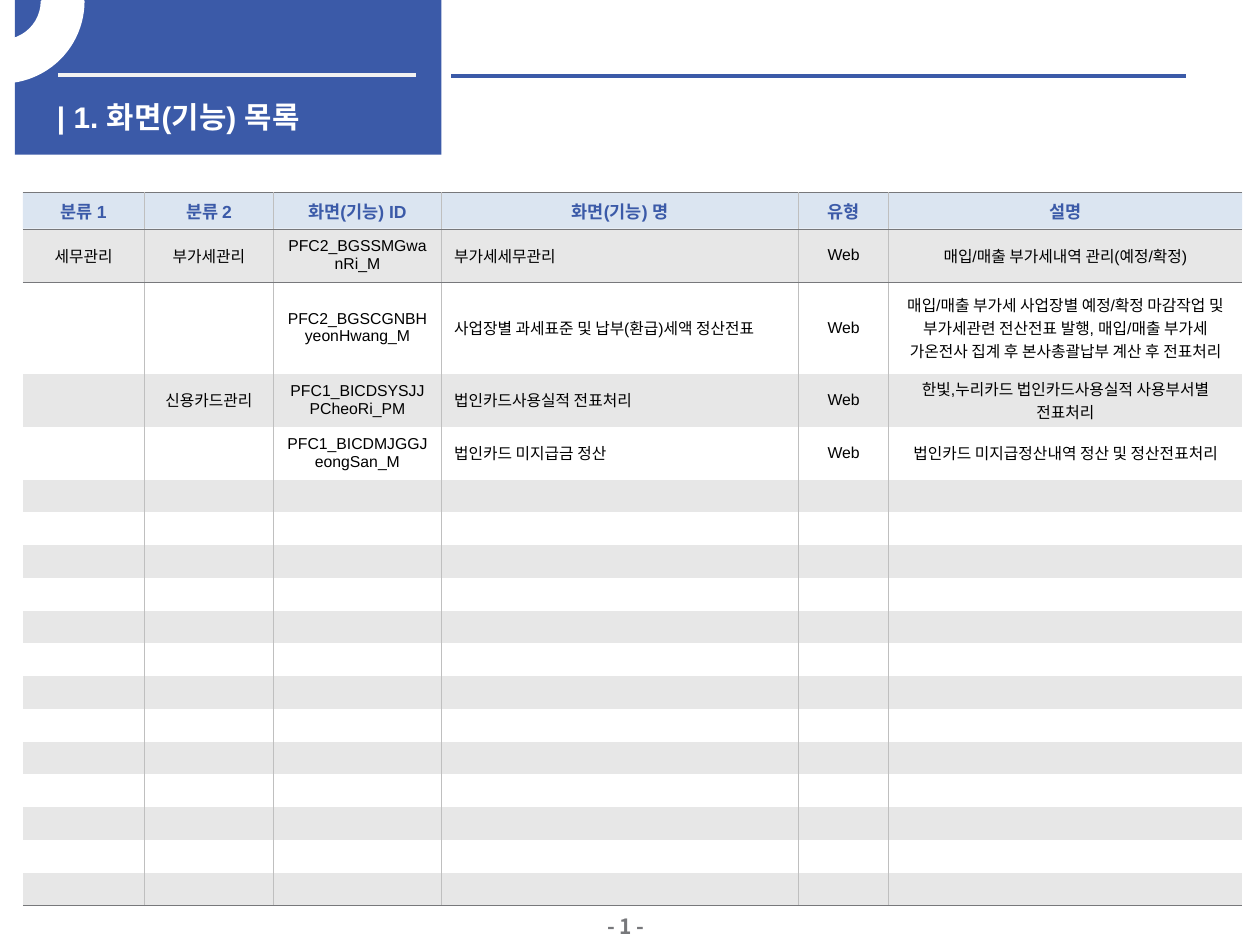
from lxml import etree
from pptx import Presentation
from pptx import util as u
from pptx.dml.color import RGBColor
from pptx.enum import shapes, text
from pptx.oxml import ns

BLUE = RGBColor(0x3B, 0x5A, 0xA8)
PALE_BLUE = RGBColor(0xB9, 0xCD, 0xE5)
BAND = RGBColor(0xE7, 0xE7, 0xE7)
WHITE = RGBColor(0xFF, 0xFF, 0xFF)
OFF_WHITE = RGBColor(0xF2, 0xF2, 0xF2)
BLACK = RGBColor(0x00, 0x00, 0x00)
GRAY = RGBColor(0x77, 0x78, 0x7B)
RULE = RGBColor(0xBF, 0xBF, 0xBF)

TITLE = {"name": "Arial", "size": u.Pt(17), "bold": True, "color": WHITE}
PAGE = {"name": "Noto Sans CJK KR", "size": u.Pt(12), "bold": True, "color": GRAY}
HEAD = {"name": "Arial", "size": u.Pt(10), "bold": True, "color": BLUE}
BODY = {"name": "Arial", "size": u.Pt(9), "bold": False, "color": BLACK}

COL_WIDTHS = [2.45, 2.6, 3.39, 7.2, 1.81, 7.13]
ROW_HEIGHTS = [0.73, 1.07, 1.85, 1.07, 1.07] + [0.66] * 13
NAME_COL = 3
ROWS = [
    ["분류 1", "분류 2", "화면(기능) ID", "화면(기능) 명", "유형", "설명"],
    ["세무관리", "부가세관리", "PFC2_BGSSMGwanRi_M", "부가세세무관리", "Web",
     "매입/매출 부가세내역 관리(예정/확정)"],
    ["", "", "PFC2_BGSCGNBHyeonHwang_M", "사업장별 과세표준 및 납부(환급)세액 정산전표", "Web",
     "매입/매출 부가세 사업장별 예정/확정 마감작업 및 부가세관련 전산전표 발행, "
     "매입/매출 부가세 가온전사 집계 후 본사총괄납부 계산 후 전표처리"],
    ["", "신용카드관리", "PFC1_BICDSYSJJPCheoRi_PM", "법인카드사용실적 전표처리", "Web",
     "한빛,누리카드 법인카드사용실적 사용부서별 전표처리"],
    ["", "", "PFC1_BICDMJGGJeongSan_M", "법인카드 미지급금 정산", "Web",
     "법인카드 미지급정산내역 정산 및 정산전표처리"],
]


def set_all(obj, values):
    """Set every attribute named in a dict of values."""
    for name, value in values.items():
        setattr(obj, name, value)


def add_run(p, words, fmt):
    """Add a run of text in the given format."""
    r = p.add_run()
    r.text = words
    for name, value in fmt.items():
        if name == "color":
            r.font.color.rgb = value
        else:
            setattr(r.font, name, value)


def add_text(s, x, y, w, h, words, fmt, **frame):
    """Add a one-line text box."""
    tf = s.shapes.add_textbox(u.Cm(x), u.Cm(y), u.Cm(w), u.Cm(h)).text_frame
    set_all(tf, frame)
    add_run(tf.paragraphs[0], words, fmt)


def add_shape(s, kind, x, y, w, h, color, line_width=None):
    """Add a preset shape of one colour, with or without an outline."""
    sp = s.shapes.add_shape(kind, u.Cm(x), u.Cm(y), u.Cm(w), u.Cm(h))
    sp.shadow.inherit = False
    sp.fill.solid()
    sp.fill.fore_color.rgb = color
    if line_width:
        sp.line.color.rgb = color
        sp.line.width = u.Pt(line_width)
    else:
        sp.line.fill.background()
    return sp


def add_rule(s, x1, x2, y, color):
    """Add a horizontal line."""
    line = s.shapes.add_connector(shapes.MSO_CONNECTOR.STRAIGHT,
                                  u.Cm(x1), u.Cm(y), u.Cm(x2), u.Cm(y))
    line.line.color.rgb = color
    line.line.width = u.Pt(2.25)
    etree.SubElement(line._element.spPr, ns.qn("a:effectLst"))


def set_borders(cell, borders):
    """Draw the sides that have a colour and clear the others."""
    tc_pr = cell._tc.get_or_add_tcPr()
    for side in "LRTB":
        ln = etree.SubElement(tc_pr, ns.qn("a:ln" + side), w=str(u.Pt(0.25)))
        color = borders.get(side)
        if color is None:
            etree.SubElement(ln, ns.qn("a:noFill"))
        else:
            fill = etree.SubElement(ln, ns.qn("a:solidFill"))
            etree.SubElement(fill, ns.qn("a:srgbClr"), val=str(color))


def fill_cell(cell, color, alpha=None):
    """Fill a cell, with an optional opacity in percent."""
    cell.fill.solid()
    cell.fill.fore_color.rgb = color
    if alpha:
        clr = next(cell._tc.tcPr.iterchildren(ns.qn("a:solidFill")))[0]
        etree.SubElement(clr, ns.qn("a:alpha"), val=str(alpha * 1000))


def write_cell(cell, words, fmt, align):
    """Write the words of a cell, or keep an empty cell at its text size."""
    set_all(cell, {"vertical_anchor": text.MSO_ANCHOR.MIDDLE,
                   "margin_top": u.Cm(0.02), "margin_bottom": u.Cm(0.02)})
    p = cell.text_frame.paragraphs[0]
    if words:
        set_all(p, {"alignment": align, "space_before": u.Pt(fmt["size"].pt * 0.2)})
        add_run(p, words, fmt)
    else:
        size = str(int(fmt["size"].pt * 100))
        etree.SubElement(p._p, ns.qn("a:endParaRPr"), sz=size)


def add_list_table(s, x, y):
    """Add the banded table of screens."""
    n_rows, n_cols = len(ROW_HEIGHTS), len(COL_WIDTHS)
    table = s.shapes.add_table(n_rows, n_cols, u.Cm(x), u.Cm(y), u.Cm(sum(COL_WIDTHS)),
                               u.Cm(sum(ROW_HEIGHTS))).table
    set_all(table, {"first_row": False, "horz_banding": False})
    for col, width in zip(table.columns, COL_WIDTHS):
        col.width = u.Cm(width)
    for i, height in enumerate(ROW_HEIGHTS):
        table.rows[i].height = u.Cm(height)
        words = ROWS[i] if i < len(ROWS) else [""] * n_cols
        for j in range(n_cols):
            cell = table.cell(i, j)
            set_borders(cell, {
                "L": RULE if j else None,
                "R": RULE if j < n_cols - 1 else None,
                "T": GRAY if i < 3 else None,
                "B": GRAY if i < 2 or i == n_rows - 1 else None,
            })
            if i == 0:
                fill_cell(cell, PALE_BLUE, 50)
            else:
                fill_cell(cell, BAND if i % 2 else WHITE)
            left = i > 0 and j == NAME_COL
            write_cell(cell, words[j], BODY if i else HEAD,
                       text.PP_ALIGN.LEFT if left else text.PP_ALIGN.CENTER)


def add_header(s):
    """Add the title block with its rules and corner arc."""
    add_shape(s, shapes.MSO_SHAPE.RECTANGLE, 0.3, 0, 8.6, 3.12, BLUE)
    add_rule(s, 1.17, 8.39, 1.51, OFF_WHITE)
    add_rule(s, 9.1, 23.9, 1.53, BLUE)
    add_text(s, 0.9, 2, 7.8, 0.81, "| 1. 화면(기능) 목록", TITLE,
             word_wrap=True, margin_top=0, margin_bottom=0)
    arc = add_shape(s, shapes.MSO_SHAPE.BLOCK_ARC, -1.6, -1.6, 3.27, 3.25, WHITE, 2)
    for i, value in enumerate([0, 119.05, 0.25]):
        arc.adjustments[i] = value


def main():
    """Build the slide and save it."""
    prs = Presentation()
    set_all(prs, {"slide_width": u.Cm(25.4), "slide_height": u.Cm(19.05)})
    s = prs.slides.add_slide(prs.slide_layouts[6])
    add_text(s, 11.99, 18.29, 1.42, 0.76, "- 1 -", PAGE, word_wrap=False)
    add_list_table(s, 0.46, 3.88)
    add_header(s)
    prs.save("out.pptx")


main()
